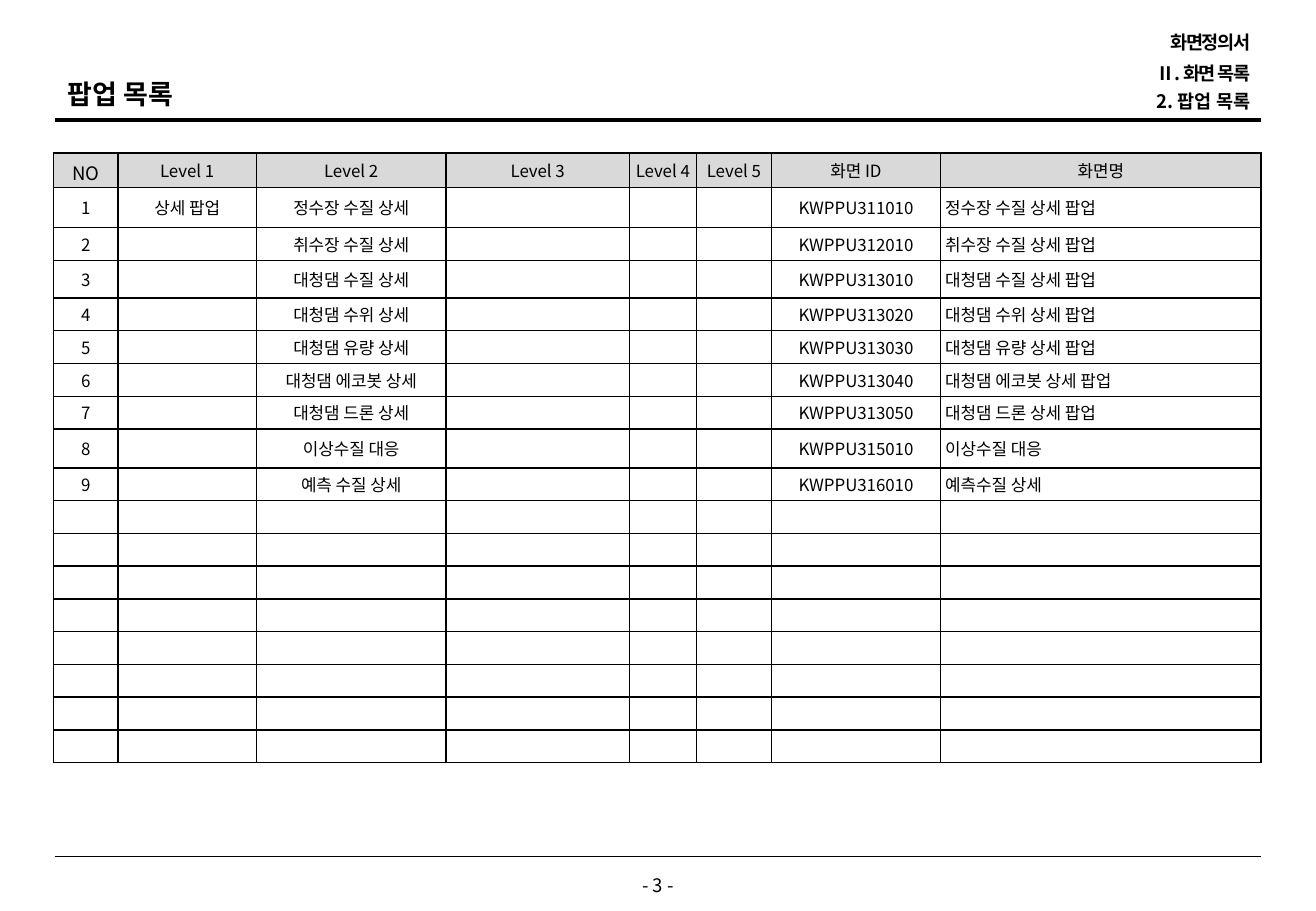
from lxml import etree
from pptx import Presentation
from pptx.dml.color import RGBColor
from pptx.enum.shapes import MSO_CONNECTOR
from pptx.enum.text import MSO_ANCHOR, PP_ALIGN
from pptx.oxml.ns import qn
from pptx.util import Inches, Pt

LEFT, CENTER, RIGHT = PP_ALIGN.LEFT, PP_ALIGN.CENTER, PP_ALIGN.RIGHT
TOP, MIDDLE = MSO_ANCHOR.TOP, MSO_ANCHOR.MIDDLE
STRAIGHT = MSO_CONNECTOR.STRAIGHT

FONT = "Noto Sans CJK KR"
COLORS = {"ink": "000000", "header": "D9D9D9", "paper": "FFFFFF"}

HEADERS = ["NO", "Level 1", "Level 2", "Level 3", "Level 4", "Level 5", "화면 ID", "화면명"]
POPUPS = [
    ("정수장 수질 상세", "KWPPU311010", "정수장 수질 상세 팝업"),
    ("취수장 수질 상세", "KWPPU312010", "취수장 수질 상세 팝업"),
    ("대청댐 수질 상세", "KWPPU313010", "대청댐 수질 상세 팝업"),
    ("대청댐 수위 상세", "KWPPU313020", "대청댐 수위 상세 팝업"),
    ("대청댐 유량 상세", "KWPPU313030", "대청댐 유량 상세 팝업"),
    ("대청댐 에코봇 상세", "KWPPU313040", "대청댐 에코봇 상세 팝업"),
    ("대청댐 드론 상세", "KWPPU313050", "대청댐 드론 상세 팝업"),
    ("이상수질 대응", "KWPPU315010", "이상수질 대응"),
    ("예측 수질 상세", "KWPPU316010", "예측수질 상세"),
]
EMPTY_ROWS = 8
COLUMN_WIDTHS = [0.53, 1.14, 1.56, 1.51, 0.55, 0.62, 1.39, 2.64]
ROW_HEIGHT = 0.27
SPECIAL_HEIGHTS = {0: 0.28, 1: 0.33, 3: 0.31, 8: 0.32}


def rgb(name):
    return RGBColor.from_string(COLORS[name])


class SlideBuilder:
    """Holds the slide and draws its elements in one style."""

    def __init__(self, slide):
        self.slide = slide

    def style_run(self, run, size, bold=False, spacing=0):
        run.font.size = Pt(size)
        run.font.bold = bold
        run.font.color.rgb = rgb("ink")
        run.font.name = FONT
        properties = run._r.get_or_add_rPr()
        etree.SubElement(properties, qn("a:ea"), typeface=FONT)
        if spacing:
            properties.set("spc", str(round(spacing * 100)))

    def line(self, y, width):
        connector = self.slide.shapes.add_connector(
            STRAIGHT, Inches(0.45), Inches(y), Inches(10.38), Inches(y))
        connector.line.color.rgb = rgb("ink")
        connector.line.width = Pt(width)
        etree.SubElement(connector._element.spPr, qn("a:effectLst"))

    def text(self, box, content, size, align=LEFT, anchor=TOP, bold=True,
             spacing=0, line_spacing=0.9, inset=None):
        shape = self.slide.shapes.add_textbox(*map(Inches, box))
        frame = shape.text_frame
        frame.word_wrap = True
        frame.vertical_anchor = anchor
        if inset is not None:
            frame.margin_left = frame.margin_right = Inches(inset)
            frame.margin_top = frame.margin_bottom = Inches(inset)
        frame.text = content
        paragraph = frame.paragraphs[0]
        paragraph.alignment = align
        paragraph.line_spacing = line_spacing
        self.style_run(paragraph.runs[0], size, bold, spacing)

    def cell_borders(self, cell):
        properties = cell._tc.get_or_add_tcPr()
        for side in ("lnL", "lnR", "lnT", "lnB"):
            border = etree.SubElement(properties, qn(f"a:{side}"), w=str(Pt(1)))
            fill = etree.SubElement(border, qn("a:solidFill"))
            etree.SubElement(fill, qn("a:srgbClr"), val=COLORS["ink"])

    def cell(self, cell, content, size, align, fill, margins):
        side, vertical = margins
        cell.margin_left = cell.margin_right = Inches(side)
        cell.margin_top = cell.margin_bottom = Inches(vertical)
        cell.vertical_anchor = MIDDLE
        self.cell_borders(cell)
        cell.fill.solid()
        cell.fill.fore_color.rgb = rgb(fill)
        cell.text_frame.text = content
        paragraph = cell.text_frame.paragraphs[0]
        paragraph.alignment = align
        for run in paragraph.runs:
            self.style_run(run, size)
        if not content:
            etree.SubElement(paragraph._p, qn("a:endParaRPr"), sz=str(size * 100))

    def table(self, left, top, rows):
        heights = [SPECIAL_HEIGHTS.get(i, ROW_HEIGHT) for i in range(len(rows))]
        table = self.slide.shapes.add_table(
            len(rows), len(COLUMN_WIDTHS), Inches(left), Inches(top),
            Inches(sum(COLUMN_WIDTHS)), Inches(sum(heights))).table
        table.first_row = table.horz_banding = False
        for column, width in zip(table.columns, COLUMN_WIDTHS):
            column.width = Inches(width)
        for row, height in zip(table.rows, heights):
            row.height = Inches(height)
        name_column = len(COLUMN_WIDTHS) - 1
        for r, row in enumerate(rows):
            for c, content in enumerate(row):
                is_header = r == 0
                is_number_header = is_header and c == 0
                size = 11 if is_number_header else 10
                align = LEFT if c == name_column and not is_header else CENTER
                margins = (0.04, 0.05 if is_number_header else 0)
                fill = "header" if is_header else "paper"
                self.cell(table.cell(r, c), content, size, align, fill, margins)


def main():
    presentation = Presentation()
    presentation.slide_width = Inches(10.83)
    presentation.slide_height = Inches(7.5)
    builder = SlideBuilder(presentation.slides.add_slide(presentation.slide_layouts[6]))

    builder.line(0.99, 2.25)
    builder.line(7.05, 0.5)
    builder.text((4.1, 7.19, 2.63, 0.21), "- 3 -", 11, CENTER, MIDDLE,
                 bold=False, line_spacing=Pt(12), inset=0)
    builder.text((0.46, 0.62, 6.77, 0.32), "팝업 목록", 16)
    for top, content, spacing in [(0.26, "화면정의서", -0.8),
                                  (0.51, "Ⅱ. 화면 목록", -0.8),
                                  (0.74, "2. 팝업 목록", 0)]:
        builder.text((7.32, top, 3.07, 0.2), content, 11, RIGHT, MIDDLE, spacing=spacing)

    rows = [HEADERS]
    for number, (level_2, screen_id, name) in enumerate(POPUPS, 1):
        level_1 = "상세 팝업" if number == 1 else ""
        rows.append([str(number), level_1, level_2, "", "", "", screen_id, name])
    rows += [[""] * len(HEADERS)] * EMPTY_ROWS
    builder.table(0.44, 1.26, rows)

    presentation.save("out.pptx")


if __name__ == "__main__":
    main()
